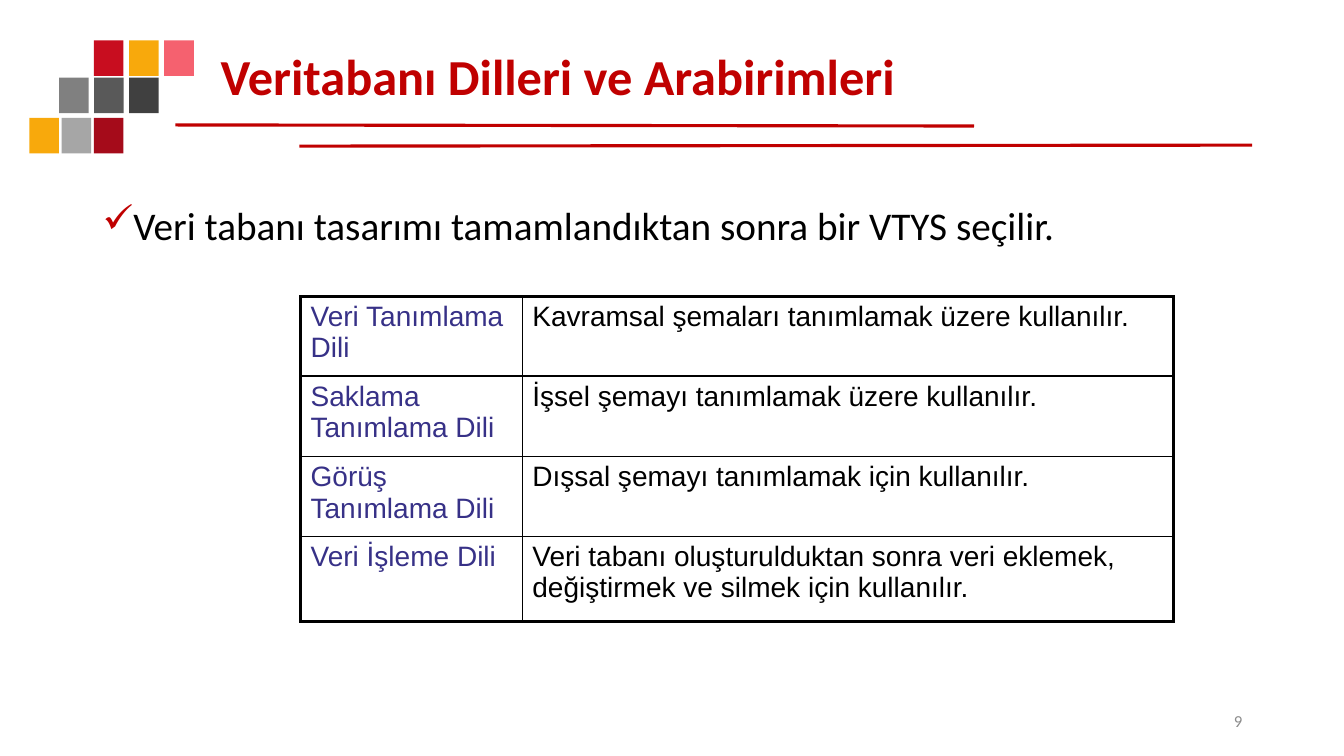
from dataclasses import dataclass

from lxml import etree
from pptx import Presentation
from pptx.dml.color import RGBColor
from pptx.enum.shapes import MSO_CONNECTOR, MSO_SHAPE
from pptx.enum.text import MSO_ANCHOR, PP_ALIGN
from pptx.oxml.ns import qn
from pptx.util import Inches, Pt

RECT = MSO_SHAPE.RECTANGLE
LINE = MSO_CONNECTOR.STRAIGHT
TOP, MIDDLE = MSO_ANCHOR.TOP, MSO_ANCHOR.MIDDLE
LEFT, RIGHT = PP_ALIGN.LEFT, PP_ALIGN.RIGHT
WIDE, HIGH = Inches(13.33), Inches(7.5)
RED, BLACK, BLUE, GREY = "C00000", "000000", "373187", "8C8C8C"
THICK, THIN = 2.25, 1


# All places and sizes are percentages of the slide's width or height.
@dataclass
class Band:
    left: float
    top: float
    step: float
    fills: list[str]


@dataclass
class Rule:
    x1: float
    y1: float
    x2: float
    y2: float


@dataclass
class Label:
    left: float
    top: float
    width: float
    height: float
    text: str
    size: int
    fill: str
    bold: bool = False
    anchor: MSO_ANCHOR = MIDDLE
    align: PP_ALIGN = LEFT
    space: float = 0.9
    mark: str = ""


BANDS = [
    Band(6.98, 5.33, 2.62, ["C80D1F", "F8A90C", "F5616F"]),
    Band(4.4, 10.27, 2.6, ["808080", "595959", "404040"]),
    Band(2.18, 15.6, 2.4, ["F8A90C", "A6A6A6", "A50B1A"]),
]
RULES = [Rule(13.05, 16.53, 72.47, 16.67), Rule(22.28, 19.33, 93.17, 19.2)]
LABELS = [
    Label(15.68, 5.33, 77.42, 10.27, "Veritabanı Dilleri ve Arabirimleri",
          36, RED, bold=True),
    Label(6.9, 26.67, 86.27, 63.47,
          "Veri tabanı tasarımı tamamlandıktan sonra bir VTYS seçilir.",
          28, BLACK, anchor=TOP, mark="✓"),
    Label(70.67, 92.67, 22.5, 5.33, "9", 12, GREY, align=RIGHT, space=1.0),
]
COLS = [16.5, 48.46]
ROWS = [10.53, 10.67, 10.53, 11.33]
TERMS = [
    ("Veri Tanımlama Dili", "Kavramsal şemaları tanımlamak üzere kullanılır."),
    ("Saklama Tanımlama Dili", "İşsel şemayı tanımlamak üzere kullanılır."),
    ("Görüş Tanımlama Dili", "Dışsal şemayı tanımlamak için kullanılır."),
    ("Veri İşleme Dili", "Veri tabanı oluşturulduktan sonra veri eklemek, "
                         "değiştirmek ve silmek için kullanılır."),
]


def across(share: float) -> int:
    return round(WIDE * share / 100)


def down(share: float) -> int:
    return round(HIGH * share / 100)


def color(code: str) -> RGBColor:
    return RGBColor.from_string(code)


def add_run(para, text: str, font: str, size: int, fill: str,
            bold: bool = False) -> None:
    run = para.add_run()
    run.text = text
    run.font.name = font
    run.font.size = Pt(size)
    run.font.bold = bold
    run.font.color.rgb = color(fill)


def draw_band(slide, band: Band) -> None:
    for i, fill in enumerate(band.fills):
        tile = slide.shapes.add_shape(
            RECT, across(band.left + i * band.step), down(band.top),
            across(2.2), down(4.7))
        tile.shadow.inherit = False
        tile.fill.solid()
        tile.fill.fore_color.rgb = color(fill)
        tile.line.fill.background()


def draw_rule(slide, rule: Rule) -> None:
    line = slide.shapes.add_connector(
        LINE, across(rule.x1), down(rule.y1), across(rule.x2), down(rule.y2))
    line.line.color.rgb = color(RED)
    line.line.width = Pt(THICK)
    etree.SubElement(line._element.spPr, qn("a:effectLst"))


def add_mark(para, mark: str) -> None:
    props = para._p.get_or_add_pPr()
    props.set("marL", str(Inches(0.25)))
    props.set("indent", str(-Inches(0.25)))
    tint = etree.SubElement(props, qn("a:buClr"))
    etree.SubElement(tint, qn("a:srgbClr"), val=RED)
    etree.SubElement(props, qn("a:buChar"), char=mark)


def draw_label(slide, label: Label) -> None:
    box = slide.shapes.add_textbox(across(label.left), down(label.top),
                                   across(label.width), down(label.height))
    frame = box.text_frame
    frame.word_wrap = True
    frame.vertical_anchor = label.anchor
    para = frame.paragraphs[0]
    if label.mark:
        add_mark(para, label.mark)
    para.alignment = label.align
    para.line_spacing = label.space
    add_run(para, label.text, "Calibri", label.size, label.fill, label.bold)


def add_edge(cell, side: str, width: float) -> None:
    edge = etree.SubElement(cell._tc.get_or_add_tcPr(), qn(f"a:ln{side}"),
                            w=str(Pt(width)))
    fill = etree.SubElement(edge, qn("a:solidFill"))
    etree.SubElement(fill, qn("a:srgbClr"), val=BLACK)


def draw_table(slide) -> None:
    table = slide.shapes.add_table(
        len(ROWS), len(COLS), across(22.36), down(39.2),
        across(sum(COLS)), down(sum(ROWS))).table
    table.first_row = table.horz_banding = False
    for col, share in zip(table.columns, COLS):
        col.width = across(share)
    for row, share in zip(table.rows, ROWS):
        row.height = down(share)
    for r, pair in enumerate(TERMS):
        for c, text in enumerate(pair):
            cell = table.cell(r, c)
            # Outer edges are thick, inner edges thin
            outer = {"L": c == 0, "R": c == len(COLS) - 1,
                     "T": r == 0, "B": r == len(ROWS) - 1}
            for side, rim in outer.items():
                add_edge(cell, side, THICK if rim else THIN)
            cell.fill.background()
            add_run(cell.text_frame.paragraphs[0], text, "Arial", 20,
                    BLACK if c else BLUE)


def main() -> None:
    deck = Presentation()
    deck.slide_width, deck.slide_height = WIDE, HIGH
    slide = deck.slides.add_slide(deck.slide_layouts[6])

    # Corner tiles and red rules
    for band in BANDS:
        draw_band(slide, band)
    for rule in RULES:
        draw_rule(slide, rule)

    # Title, statement and page number
    for label in LABELS:
        draw_label(slide, label)

    # Language table
    draw_table(slide)
    deck.save("out.pptx")


if __name__ == "__main__":
    main()
